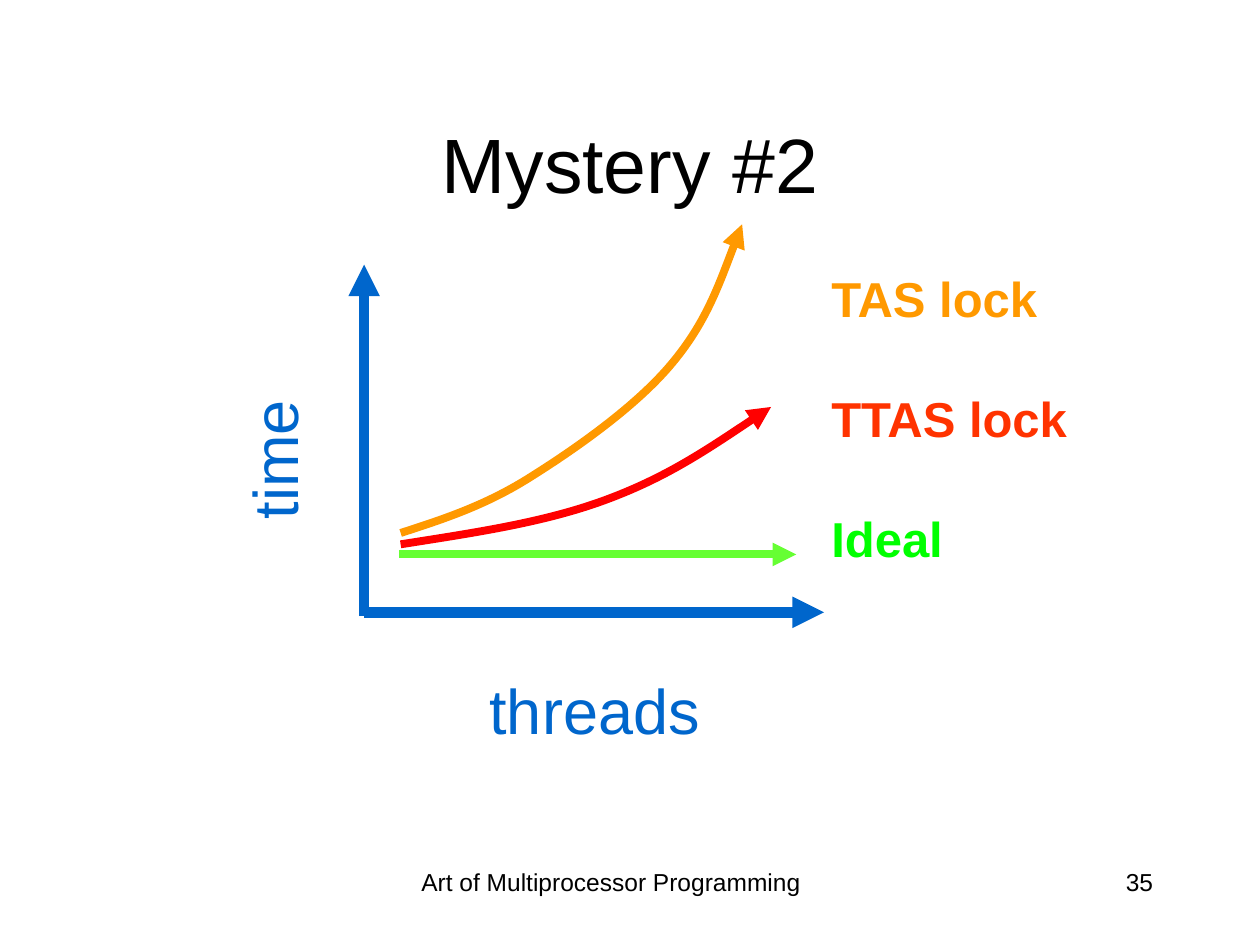
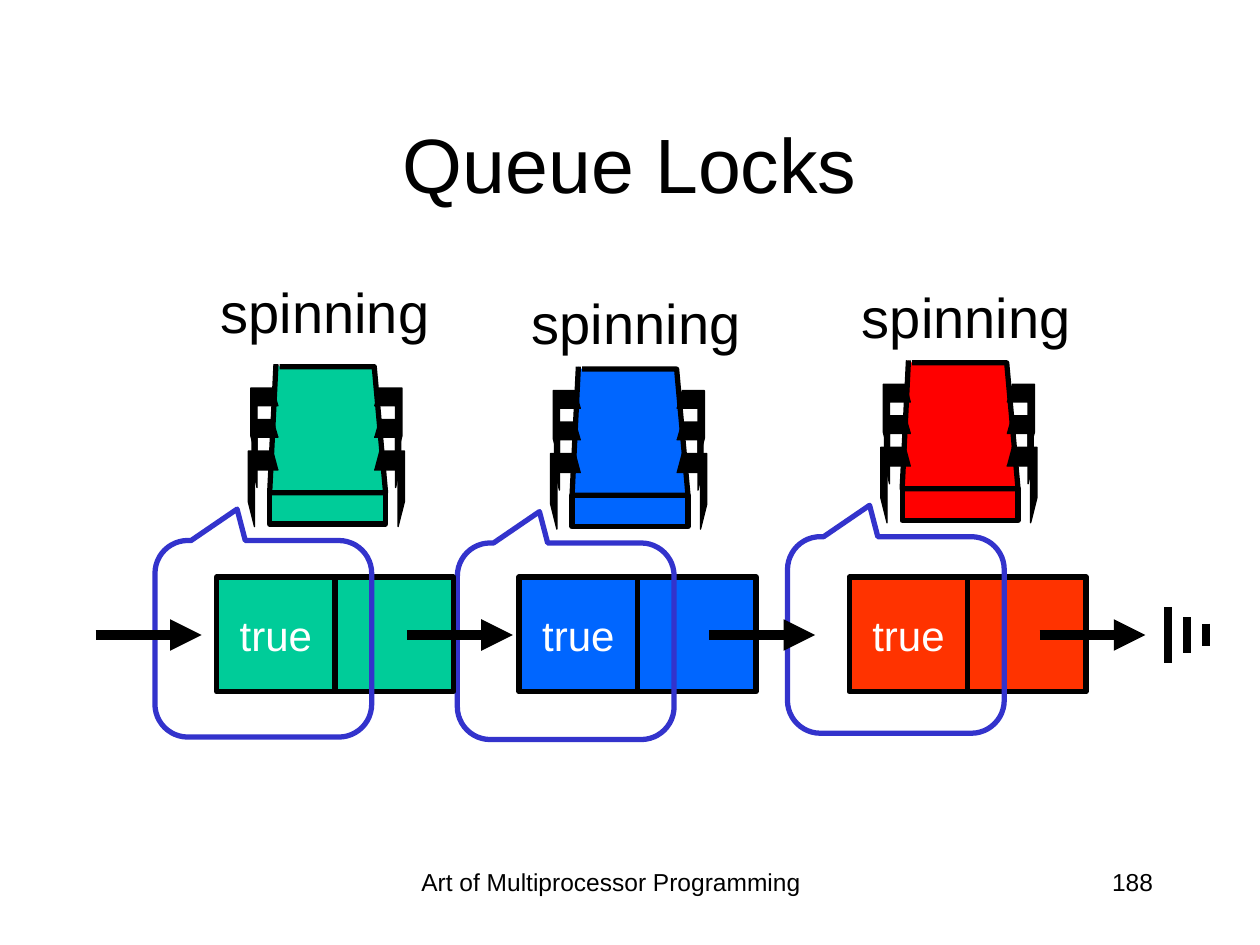
from dataclasses import dataclass

from lxml.etree import SubElement
from pptx import Presentation
from pptx.dml.color import RGBColor
from pptx.enum.shapes import MSO_CONNECTOR as Connector, MSO_SHAPE as Shape
from pptx.enum.text import MSO_ANCHOR as Anchor, MSO_AUTO_SIZE as AutoSize, PP_ALIGN as Align
from pptx.oxml.ns import qn
from pptx.util import Inches, Pt

TITLE_ONLY = 5


@dataclass(frozen=True)
class Theme:
    font: str = "Arial"
    ink: str = "000000"
    paper: str = "FFFFFF"
    axis: str = "0066CC"
    tas: str = "FF9900"
    ttas_label: str = "FF3300"
    ttas_curve: str = "FF0000"
    ideal_label: str = "00FF00"
    ideal_curve: str = "66FF33"
    callout: str = "3333CC"
    red_chair: str = "FF0000"
    red_cell: str = "FF3300"
    blue: str = "0066FF"
    green: str = "00CC99"
    title_size: int = 44
    axis_size: int = 36
    label_size: int = 32
    legend_size: int = 28
    cell_size: int = 24
    footer_size: int = 14
    heavy: float = 6
    medium: float = 4.5
    outline: float = 3
    hairline: float = 0.75


def format_text(paragraph, text, *, theme, size, color=None, bold=False,
                align=Align.LEFT, before=0):
    paragraph.text = text
    paragraph.alignment = align
    if before:
        paragraph.space_before = Pt(before)
    font = paragraph.font
    font.name, font.size, font.bold = theme.font, Pt(size), bold
    font.color.rgb = RGBColor.from_string(color or theme.ink)


def inches(*lengths):
    return [Inches(length) for length in lengths]


class Deck:
    """Holds the theme, the presentation and the slide being drawn."""

    def __init__(self, theme):
        self.theme = theme
        self.show = Presentation()
        self.show.slide_width, self.show.slide_height = inches(10, 7.5)
        self.shapes = None

    def add_slide(self, title, number):
        theme = self.theme
        slide = self.show.slides.add_slide(self.show.slide_layouts[TITLE_ONLY])
        self.shapes = slide.shapes
        heading = slide.shapes.title
        heading.left, heading.top, heading.width, heading.height = inches(0.75, 0.67, 8.5, 1.25)
        heading.text_frame.vertical_anchor = Anchor.MIDDLE
        format_text(heading.text_frame.paragraphs[0], title, theme=theme,
                    size=theme.title_size, align=Align.CENTER)
        self.text((2.89, 6.83, 3.92, 0.5), ["Art of Multiprocessor Programming"],
                  size=theme.footer_size, align=Align.CENTER)
        self.text((7.17, 6.83, 2.08, 0.5), [number], size=theme.footer_size, align=Align.RIGHT)

    def text(self, place, lines, *, colors=(None,), grow=False, **style):
        """Write one paragraph per line; spacing goes between paragraphs only."""
        box = self.shapes.add_textbox(*inches(*place))
        frame = box.text_frame
        frame.word_wrap = not grow
        frame.auto_size = AutoSize.SHAPE_TO_FIT_TEXT if grow else AutoSize.NONE
        gap = style.pop("before", 0)
        for index, (line, color) in enumerate(zip(lines, colors)):
            paragraph = frame.add_paragraph() if index else frame.paragraphs[0]
            format_text(paragraph, line, theme=self.theme, color=color,
                        before=gap if index else 0, **style)
        return box

    def axis_title(self, place, name, rotation):
        box = self.text(place, [name], colors=[self.theme.axis], grow=True,
                        size=self.theme.axis_size, align=Align.RIGHT)
        frame = box.text_frame
        frame.margin_left = frame.margin_right = Inches(0.05)
        frame.margin_top = frame.margin_bottom = Inches(0.1)
        frame._txBody.bodyPr.set("vert", "eaVert")
        box.rotation = rotation

    def stroke(self, shape, color, width, arrow=False):
        shape.line.color.rgb = RGBColor.from_string(color)
        shape.line.width = Pt(width)
        if arrow:
            outline = shape._element.spPr.find(qn("a:ln"))
            SubElement(outline, qn("a:tailEnd"), type="triangle")

    def paint(self, shape, fill, color, width, arrow=False):
        shape.shadow.inherit = False
        if fill:
            shape.fill.solid()
            shape.fill.fore_color.rgb = RGBColor.from_string(fill)
        else:
            shape.fill.background()
        self.stroke(shape, color, width, arrow)

    def line(self, start, end, color, width, arrow=False):
        connector = self.shapes.add_connector(Connector.STRAIGHT, *inches(*start, *end))
        self.stroke(connector, color, width, arrow)
        SubElement(connector._element.spPr, qn("a:effectLst"))

    def box(self, place, fill, label=None):
        cell = self.shapes.add_shape(Shape.RECTANGLE, *inches(*place))
        self.paint(cell, fill, self.theme.ink, self.theme.outline)
        if label:
            cell.text_frame.word_wrap = False
            cell.text_frame.vertical_anchor = Anchor.MIDDLE
            format_text(cell.text_frame.paragraphs[0], label, theme=self.theme,
                        size=self.theme.cell_size, color=self.theme.paper, align=Align.CENTER)

    def callout(self, place):
        bubble = self.shapes.add_shape(Shape.ROUNDED_RECTANGULAR_CALLOUT, *inches(*place))
        for index, value in enumerate((-0.121, -0.66, 0.167)):
            bubble.adjustments[index] = value
        self.paint(bubble, None, self.theme.callout, self.theme.outline)

    def outline(self, points):
        start, *rest = [inches(*point) for point in points]
        builder = self.shapes.build_freeform(*start)
        builder.add_line_segments(rest, close=False)
        return builder.convert_to_shape()

    def curve(self, points, color):
        """Draw Bézier segments: a start, then two handles and an end for each."""
        shape = self.outline(points)
        path = shape._element.spPr.find(".//" + qn("a:path"))
        steps = path.findall(qn("a:lnTo"))
        for first in range(0, len(steps), 3):
            segment = SubElement(path, qn("a:cubicBezTo"))
            for step in steps[first:first + 3]:
                segment.append(step[0])
                path.remove(step)
        self.paint(shape, None, color, self.theme.medium, arrow=True)

    def chair(self, left, top, fill):
        theme, slide_shapes = self.theme, self.shapes
        self.shapes = slide_shapes.add_group_shape().shapes
        self.box((left, top + 1.02, 0.92, 0.25), fill)
        back = [(0.08, 0.02), (0.83, 0.02), (0.92, 1.02), (0, 1.02), (0.05, 0)]
        self.paint(self.outline([(left + x, top + y) for x, y in back]),
                   fill, theme.ink, theme.outline)
        # Each leg: drop from the chair top, reach, inner side, knee, foot, thickness
        legs = [(0.69, 0.24, 0.19, 0.40, 0.60, 0.15),
                (0.44, 0.21, 0.17, 0.36, 0.54, 0.14),
                (0.19, 0.22, 0.17, 0.38, 0.56, 0.14)]
        for mirrored in (False, True):
            for drop, reach, inner, knee, foot, thick in legs:
                leg = [(0.04, 0), (reach, 0), (reach, knee), (inner, foot), (inner, thick), (0, thick)]
                points = [(left + (0.07 - x if mirrored else 0.83 + x), top + drop + y)
                          for x, y in leg]
                self.paint(self.outline(points), theme.ink, theme.ink, theme.hairline)
        self.shapes = slide_shapes

    def pointer(self, left):
        self.line((left, 5.04), (left + 0.84, 5.04), self.theme.ink, self.theme.heavy, arrow=True)

    def queue_node(self, left, chair_top, label_at, chair_fill, cell_fill):
        self.chair(left + 0.42, chair_top, chair_fill)
        self.text((*label_at, 1.86, 0.64), ["spinning"], grow=True,
                  size=self.theme.label_size, align=Align.CENTER)
        self.box((left, 4.58, 0.94, 0.91), cell_fill, "true")
        self.box((left + 0.94, 4.58, 0.94, 0.91), cell_fill)
        self.pointer(left + 1.51)
        self.callout((left - 0.49, chair_top + 1.4, 1.72, 1.56))

    def ground(self):
        slide_shapes = self.shapes
        self.shapes = slide_shapes.add_group_shape().shapes
        for index, half in enumerate((0.22, 0.14, 0.09)):
            x = 9.27 + 0.15 * index
            self.line((x, 5.04 - half), (x, 5.04 + half), self.theme.ink, self.theme.medium)
        self.shapes = slide_shapes


def draw_mystery(deck):
    theme = deck.theme
    deck.add_slide("Mystery #2", "35")
    deck.line((2.89, 4.89), (2.89, 2.1), theme.axis, theme.heavy, arrow=True)
    deck.line((2.89, 4.86), (6.54, 4.86), theme.axis, theme.heavy, arrow=True)
    deck.text((6.5, 2.08, 2.1, 2.9), ["TAS lock", "TTAS lock", "Ideal"],
              colors=[theme.tas, theme.ttas_label, theme.ideal_label],
              grow=True, size=theme.legend_size, bold=True, before=35)
    deck.axis_title((1.82, 3.17, 0.8, 1.05), "time", 180)
    deck.axis_title((4.27, 4.79, 0.8, 1.77), "threads", 270)
    deck.line((3.17, 4.4), (6.32, 4.4), theme.ideal_curve, theme.medium, arrow=True)
    deck.curve([(3.18, 4.23), (3.52, 4.12), (3.86, 4.01), (4.22, 3.78),
                (4.57, 3.56), (5.04, 3.23), (5.32, 2.9),
                (5.6, 2.57), (5.74, 2.17), (5.89, 1.78)], theme.tas)
    deck.curve([(3.18, 4.32), (3.75, 4.23), (4.31, 4.15), (4.8, 3.97),
                (5.29, 3.79), (5.7, 3.51), (6.12, 3.23)], theme.ttas_curve)


def draw_queue_locks(deck):
    theme = deck.theme
    deck.add_slide("Queue Locks", "188")
    deck.queue_node(6.74, 2.86, (6.74, 2.19), theme.red_chair, theme.red_cell)
    deck.ground()
    deck.queue_node(4.12, 2.91, (4.12, 2.24), theme.blue, theme.blue)
    deck.queue_node(1.72, 2.89, (1.65, 2.15), theme.green, theme.green)
    deck.pointer(0.76)


def main():
    deck = Deck(Theme())
    draw_mystery(deck)
    draw_queue_locks(deck)
    deck.show.save("out.pptx")


if __name__ == "__main__":
    main()
